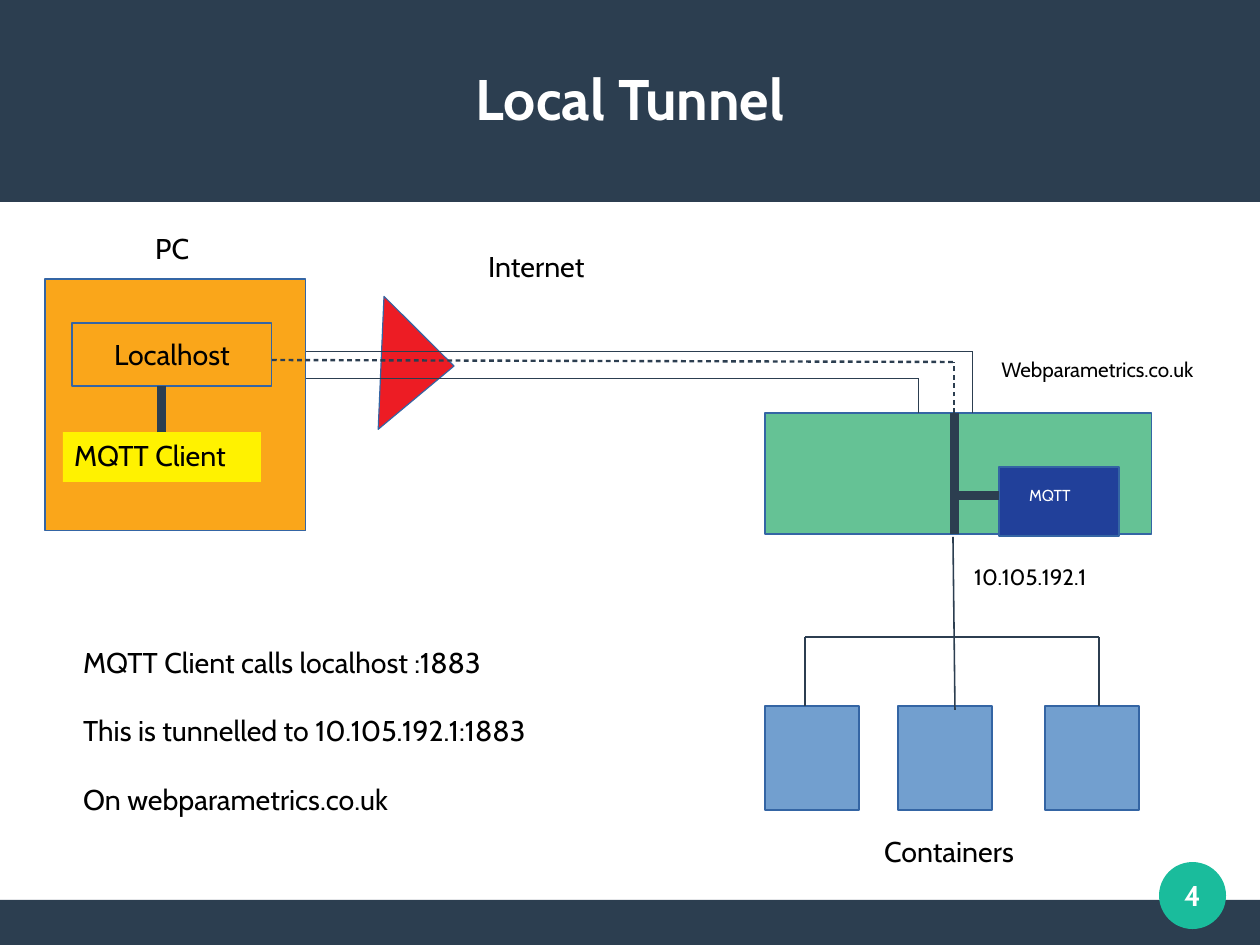
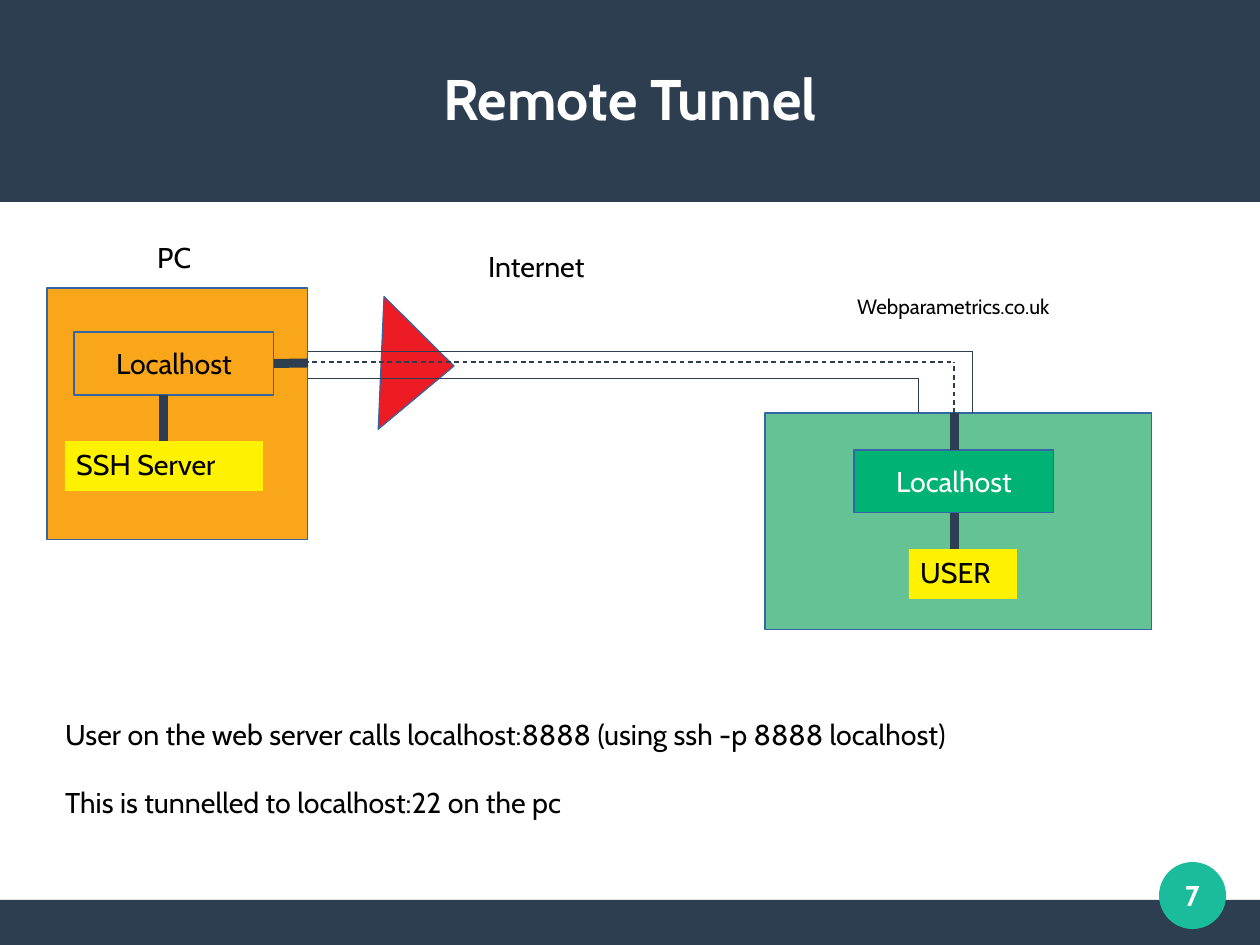
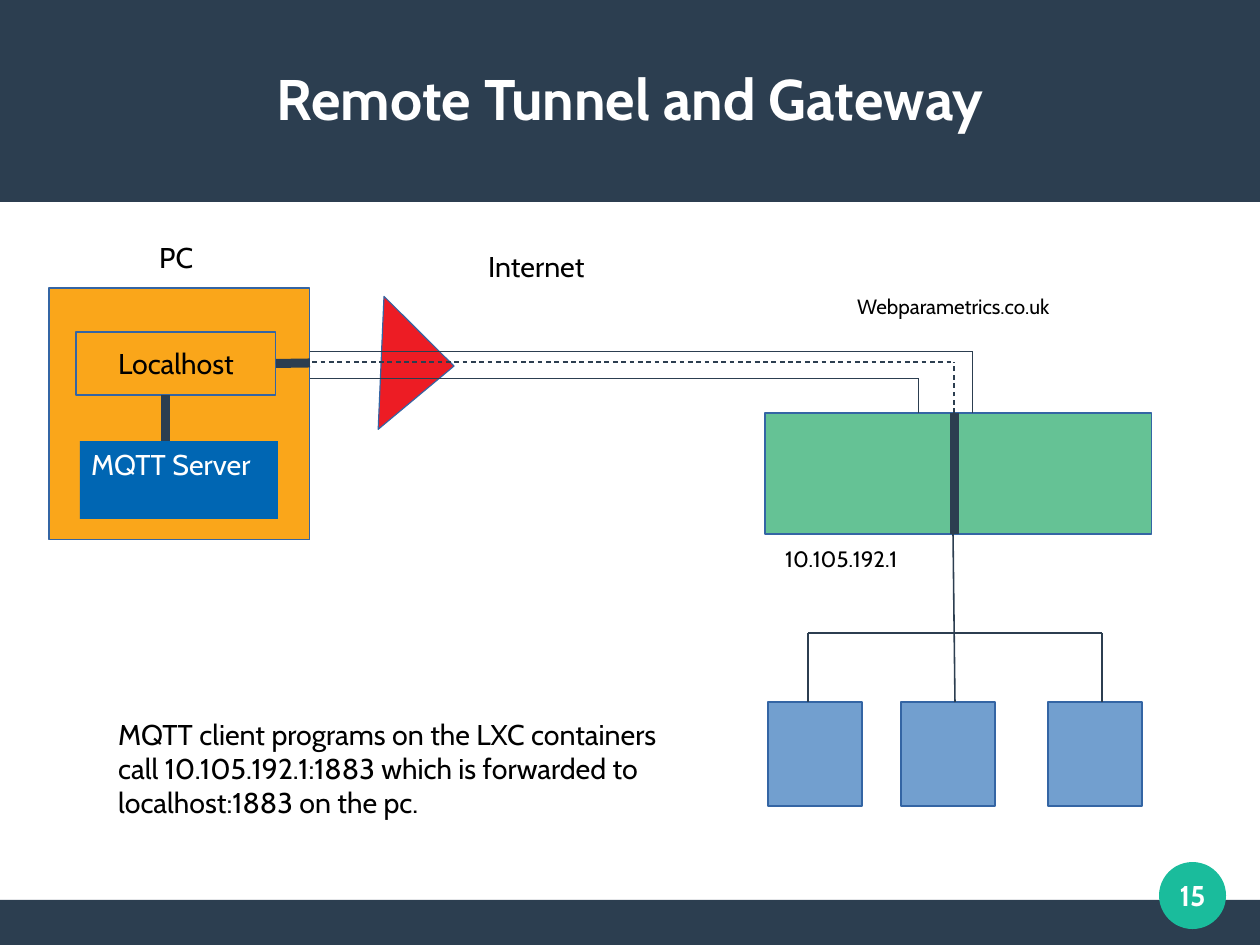
from pptx import Presentation
from pptx import util as u
from pptx.dml.color import RGBColor
from pptx.enum import shapes, text
from pptx.oxml.ns import qn
from lxml import etree

PX = 8000
FONT = "Cabin"
NAVY, TEAL, BLUE = "2C3E50", "1ABC9C", "3465A4"
ORANGE, YELLOW, RED = "FAA61A", "FFF200", "ED1C24"
GREEN, LEAF, SKY = "65C295", "00B274", "729FCF"
INDIGO, COBALT = "21409A", "0066B3"
BLACK, WHITE = "000000", "FFFFFF"
RECT = shapes.MSO_SHAPE.RECTANGLE
LEFT, CENTER = text.PP_ALIGN.LEFT, text.PP_ALIGN.CENTER
TOP, MIDDLE = text.MSO_ANCHOR.TOP, text.MSO_ANCHOR.MIDDLE
THICK, DASH, THIN, FINE = 5.67, 1.5, 1, 0.5


def emu(vals):
    """Turn px lengths into EMU."""
    return [u.Emu(v * PX) for v in vals]


def color(form, code):
    """Set a fill or font colour from a hex string."""
    form.rgb = RGBColor.from_string(code)


def apply(item, vals):
    """Set attributes from a dict of format values."""
    for key, val in vals.items():
        setattr(item, key, val)


def write(shape, lines, size=18, ink=BLACK, bold=False, align=LEFT,
          anchor=TOP, gap=0, inset=None):
    """Write one paragraph per line into a shape."""
    frame = shape.text_frame
    apply(frame, {"word_wrap": True, "vertical_anchor": anchor})
    if inset is not None:
        sides = ("left", "top", "right", "bottom")
        apply(frame, {f"margin_{side}": inset for side in sides})
    for i, line in enumerate(lines):
        para = frame.add_paragraph() if i else frame.paragraphs[0]
        apply(para, {"alignment": align, "space_before": u.Pt(gap if i else 0)})
        run = para.add_run()
        run.text = line
        apply(run.font, {"name": FONT, "size": u.Pt(size), "bold": bold})
        color(run.font.color, ink)


def label(slide, at, *lines, **form):
    """Add a text box."""
    write(slide.shapes.add_textbox(*emu(at)), lines, **form)


def box(slide, at, fill, edge=BLUE, kind=RECT):
    """Add a filled shape with a hairline edge or none."""
    shape = slide.shapes.add_shape(kind, *emu(at))
    shape.shadow.inherit = False
    shape.fill.solid()
    color(shape.fill.fore_color, fill)
    if edge:
        color(shape.line.color, edge)
        shape.line.width = u.Pt(0)
    else:
        shape.line.fill.background()
    return shape


def line(slide, start, end, width, begin=None, finish=None):
    """Add a straight line, joined to (shape, site) pairs if given."""
    link = slide.shapes.add_connector(
        shapes.MSO_CONNECTOR.STRAIGHT, *emu(start + end))
    if begin:
        link.begin_connect(*begin)
    if finish:
        link.end_connect(*finish)
    color(link.line.color, NAVY)
    link.line.width = u.Pt(width)
    etree.SubElement(link._element.spPr, qn("a:effectLst"))
    return link


def dash(slide, start, end):
    """Add a dashed line."""
    stroke = line(slide, start, end, DASH).line._get_or_add_ln()
    style = etree.SubElement(stroke, qn("a:custDash"))
    etree.SubElement(style, qn("a:ds"), d="200000", sp="150000")


def page(deck, title, number):
    """Add a slide with bands, title and page number."""
    slide = deck.slides.add_slide(deck.slide_layouts[6])
    box(slide, (0, 900, 1260, 45), NAVY, None)
    box(slide, (0, 0, 1260, 202), NAVY, None)
    disc = box(slide, (1159, 862, 67, 67), TEAL, None, shapes.MSO_SHAPE.OVAL)
    form = {"ink": WHITE, "bold": True, "align": CENTER,
            "anchor": MIDDLE, "inset": 0}
    write(disc, [str(number)], **form)
    label(slide, (45, 38, 1170, 120), title, size=36, **form)
    return slide


def host(slide, at, fill, ink=BLACK):
    """Add a Localhost box."""
    shape = box(slide, at, fill)
    write(shape, ["Localhost"], ink=ink, align=CENTER, anchor=MIDDLE)
    return shape


def tag(slide, at, words, fill=YELLOW, ink=BLACK):
    """Add an edgeless box with a name."""
    shape = box(slide, at, fill, None)
    write(shape, [words], ink=ink)
    return shape


def device(slide, x, y, name, shift=18, high=50, **form):
    """Draw the small computer and return its Localhost box."""
    box(slide, (x, y, 261, 252), ORANGE)
    label(slide, (x + 99, y - 54, 72, 50), "PC")
    local = host(slide, (x + 27, y + 44, 200, 63), ORANGE)
    app = tag(slide, (x + shift, y + 153, 198, high), name, **form)
    mid = x + 117
    join = (app, 0) if shift + 99 == 117 else None
    line(slide, (mid, y + 153), (mid, y + 107), THICK, begin=join)
    return local


def tunnel(slide, edge, start):
    """Draw the internet tunnel from the device edge to the server."""
    label(slide, (477, 243, 162, 50), "Internet")
    cone = box(slide, (351, 328, 133, 73), RED,
               kind=shapes.MSO_SHAPE.ISOSCELES_TRIANGLE)
    cone.rotation = 92.5
    for x, y in ((918, 378), (972, 351)):
        line(slide, (edge, y), (x, y), FINE)
        line(slide, (x, y), (x, 413), FINE)
    dash(slide, start, (954, 362))
    dash(slide, (954, 413), (954, 362))


def server(slide, high, x, y):
    """Draw the server box with its address at x, y."""
    box(slide, (765, 413, 387, high), GREEN)
    label(slide, (x, y, 300, 45), "Webparametrics.co.uk", size=13)


def fan(slide, x, y, top, end):
    """Draw three containers and the lines that feed them."""
    for step in (0, 133, 280):
        box(slide, (x + step, y, 94, 104), SKY)
    bus, near, far = y - 69, x + 40, x + 334
    line(slide, (953, top), (955, end), THIN)
    line(slide, (far, bus), (near, bus), THIN)
    for drop in (near, far):
        line(slide, (drop, bus), (drop, y), THIN)


def local(deck):
    """Build the local tunnel slide."""
    slide = page(deck, "Local Tunnel", 4)
    device(slide, 45, 279, "MQTT Client")
    server(slide, 121, 990, 351)
    fan(slide, 765, 706, 537, 710)
    box(slide, (999, 467, 120, 69), INDIGO)
    label(slide, (1018, 480, 120, 57), "MQTT", size=10, ink=WHITE)
    tunnel(slide, 306, (272, 360))
    line(slide, (999, 495), (954, 495), THICK)
    line(slide, (954, 413), (954, 534), THICK)
    label(slide, (963, 558, 225, 45), "10.105.192.1", size=14)
    label(slide, (72, 639, 648, 206), "MQTT Client calls localhost :1883",
          "This is tunnelled to 10.105.192.1:1883",
          "On webparametrics.co.uk", gap=21.6)
    label(slide, (873, 828, 198, 50), "Containers")


def remote(deck):
    """Build the remote tunnel slide."""
    slide = page(deck, "Remote Tunnel", 7)
    near = device(slide, 47, 288, "SSH Server")
    server(slide, 217, 846, 288)
    tunnel(slide, 308, (304, 362))
    line(slide, (308, 363), (274, 363), THICK, finish=(near, 3))
    far = host(slide, (854, 450, 200, 63), LEAF, WHITE)
    tag(slide, (909, 549, 108, 50), "USER")
    line(slide, (954, 413), (954, 450), THICK, finish=(far, 0))
    line(slide, (954, 513), (954, 549), THICK, begin=(far, 2))
    label(slide, (54, 711, 1161, 128),
          "User on the web server calls localhost:8888 "
          "(using ssh -p 8888 localhost)",
          "This is tunnelled to localhost:22 on the pc", gap=21.6)


def gateway(deck):
    """Build the remote tunnel and gateway slide."""
    slide = page(deck, "Remote Tunnel and Gateway", 15)
    near = device(slide, 49, 288, "MQTT Server", 31, 78,
                  fill=COBALT, ink=WHITE)
    server(slide, 121, 846, 288)
    tunnel(slide, 310, (304, 362))
    line(slide, (310, 363), (276, 363), THICK, finish=(near, 3))
    line(slide, (954, 413), (954, 534), THICK)
    fan(slide, 768, 702, 530, 702)
    label(slide, (774, 540, 225, 45), "10.105.192.1", size=14)
    label(slide, (107, 711, 603, 144),
          "MQTT client programs on the LXC containers call "
          "10.105.192.1:1883 which is forwarded to localhost:1883 on the pc.")


def main():
    """Build and save the deck."""
    deck = Presentation()
    deck.slide_width, deck.slide_height = emu((1260, 945))
    for build in (local, remote, gateway):
        build(deck)
    deck.save("out.pptx")


if __name__ == "__main__":
    main()
